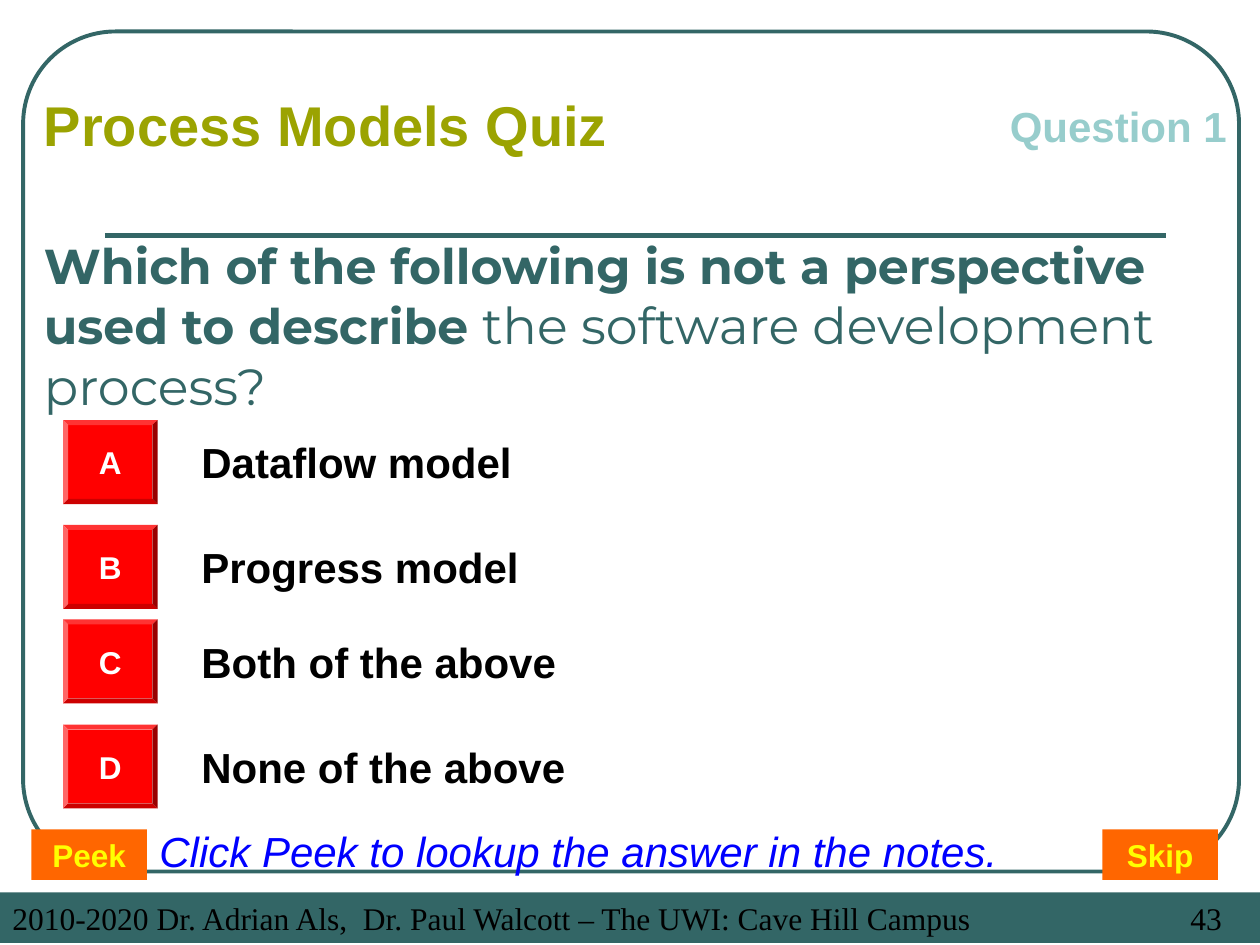
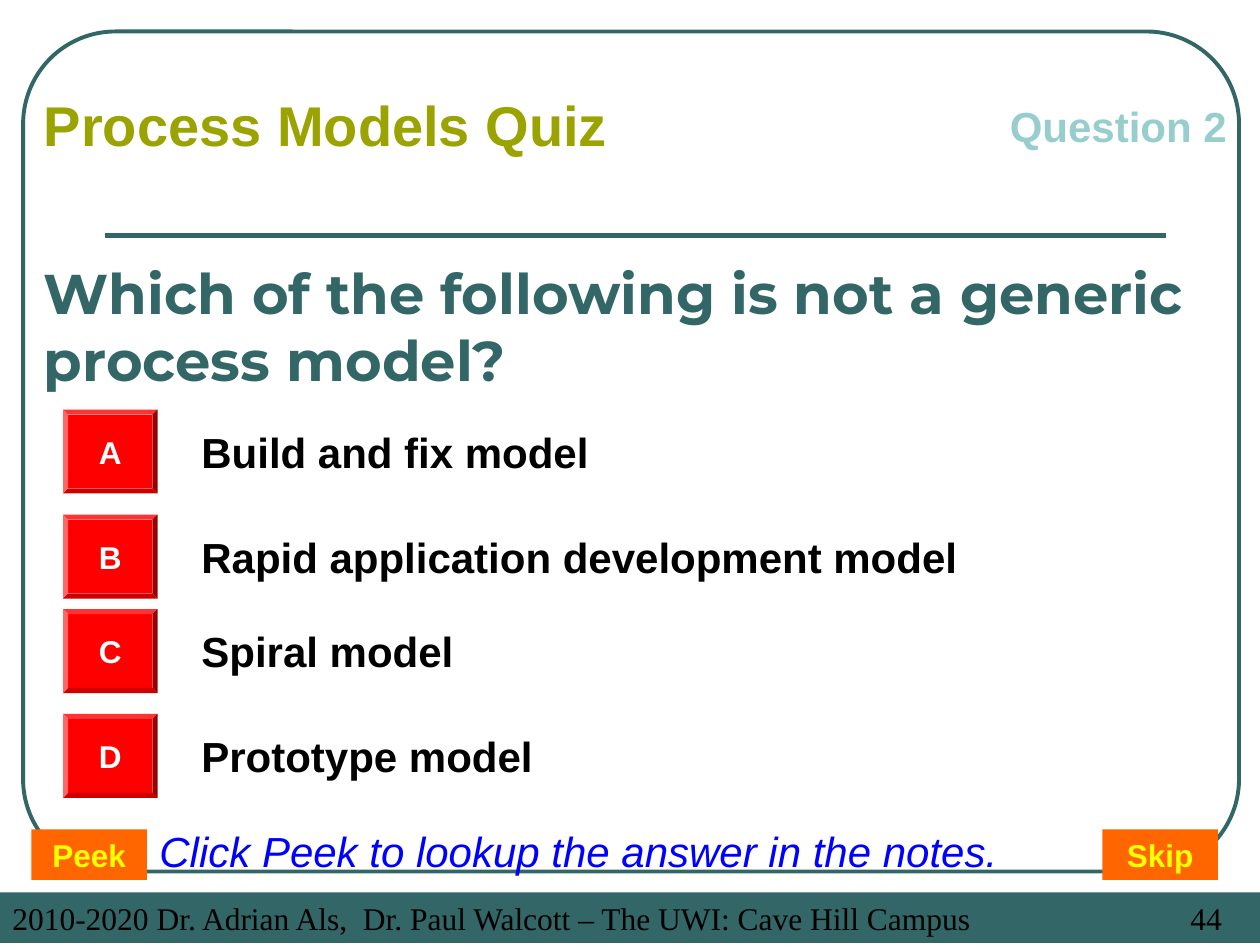
"""Build two quiz slides on process models."""
import pptx
import pptx.dml.color
import pptx.enum.shapes
import pptx.enum.text
import pptx.util
from dataclasses import dataclass
from lxml import etree

QUIZ = [
    dict(page=43, top=400,
         ask=[("Which of the following is not a perspective used to describe ", 28, True),
              ("the software development process?", 29, False)],
         picks=["Dataflow model", "Progress model", "Both of the above", "None of the above"]),
    dict(page=44, top=390,
         ask=[("Which of the following is not a generic process model?", 32, True)],
         picks=["Build and fix model", "Rapid application development model",
                "Spiral model", "Prototype model"]),
]
TITLE = "Process Models Quiz"
HINT = "Click Peek to lookup the answer in the notes."
CREDIT = "2010-2020 Dr. Adrian Als,  Dr. Paul Walcott – The UWI: Cave Hill Campus"
LINKS = [("Peek", 30), ("Skip", 1050)]

PX = 7620
WIDE, HIGH = 1200, 900
PAIR, STEP = 190, 100
TAB = 1152


@dataclass(frozen=True)
class Theme:
    """Colours, fonts and type sizes."""
    teal: str = "336666"
    olive: str = "9BA301"
    aqua: str = "97CDCC"
    red: str = "FF0000"
    flame: str = "FF6600"
    gold: str = "FFFF00"
    blue: str = "0000FF"
    black: str = "000000"
    white: str = "FFFFFF"
    sans: str = "Arial"
    serif: str = "Times New Roman"
    ask: str = "Montserrat"
    head: int = 32
    body: int = 24
    small: int = 18


T = Theme()
KIND = pptx.enum.shapes.MSO_SHAPE
ALIGN = pptx.enum.text.PP_ALIGN
MID = pptx.enum.text.MSO_ANCHOR.MIDDLE


def rgb(code):
    """Turn a hex code into a colour."""
    return pptx.dml.color.RGBColor.from_string(code)


def style(run, size, color, face=T.sans, bold=False, italic=False):
    """Format one run."""
    font = run.font
    font.size, font.name = pptx.util.Pt(size), face
    font.bold, font.italic = bold, italic
    font.color.rgb = rgb(color)


def write(shape, text, size, color, align=ALIGN.LEFT, **look):
    """Put one styled line of text in a shape."""
    para = shape.text_frame.paragraphs[0]
    para.text, para.alignment = text, align
    style(para.runs[0], size, color, **look)
    return para


def label(slide, box, text=None, size=T.body, color=T.black, **look):
    """Add a wrapping text box."""
    area = slide.shapes.add_textbox(*(n * PX for n in box))
    area.text_frame.word_wrap = True
    if text:
        write(area, text, size, color, **look)
    return area


def block(slide, kind, box, fill=None):
    """Add a flat preset shape without a line."""
    shape = slide.shapes.add_shape(kind, *(n * PX for n in box))
    shape.shadow.inherit = False
    shape.line.fill.background()
    if fill:
        shape.fill.solid()
        shape.fill.fore_color.rgb = rgb(fill)
    else:
        shape.fill.background()
    shape.text_frame.vertical_anchor = MID
    return shape


def pen(line, width):
    """Draw a line in the main colour."""
    line.color.rgb = rgb(T.teal)
    line.width = pptx.util.Pt(width)


def frame(slide, page):
    """Add the outline, the rule and the footer bar."""
    edge = block(slide, KIND.ROUNDED_RECTANGLE, (22, 30, 1158, 800))
    edge.adjustments[0] = 0.11
    pen(edge.line, 2.25)
    rule = slide.shapes.add_connector(
        pptx.enum.shapes.MSO_CONNECTOR.STRAIGHT, 100 * PX, 224 * PX, 1110 * PX, 224 * PX)
    pen(rule.line, 3)
    ns = pptx.oxml.ns.qn
    etree.SubElement(rule._element.spPr, ns("a:effectLst"))
    bar = block(slide, KIND.RECTANGLE, (0, 850, WIDE, 48), T.teal)
    para = bar.text_frame.paragraphs[0]
    tabs = etree.SubElement(para._p.get_or_add_pPr(), ns("a:tabLst"))
    etree.SubElement(tabs, ns("a:tab"), pos=str(TAB * PX), algn="r")
    write(bar, f"{CREDIT}\t{page}", T.small, T.black, face=T.serif)


def pose(slide, parts):
    """Add the question."""
    area = label(slide, (30, 220, 1140, 180))
    area.text_frame.vertical_anchor = MID
    para = area.text_frame.paragraphs[0]
    for text, size, bold in parts:
        run = para.add_run()
        run.text = text
        style(run, size, T.teal, T.ask, bold)


def choose(slide, top, picks):
    """Add the lettered answers in pairs of rows."""
    for i, (mark, pick) in enumerate(zip("ABCD", picks)):
        y = top + i // 2 * PAIR + i % 2 * STEP
        key = block(slide, KIND.BEVEL, (60, y, 90, 80), T.red)
        key.adjustments[0] = 0.06
        key.text_frame.word_wrap = False
        write(key, mark, T.small, T.white, ALIGN.CENTER, bold=True)
        label(slide, (180, y + 10, 950 if i % 2 else 990, 60), pick, bold=True)


def main():
    """Build and save the slides."""
    deck = pptx.Presentation()
    deck.slide_width, deck.slide_height = WIDE * PX, HIGH * PX
    for num, quiz in enumerate(QUIZ, 1):
        slide = deck.slides.add_slide(deck.slide_layouts[6])
        frame(slide, quiz["page"])
        pose(slide, quiz["ask"])
        label(slide, (30, 80, 780, 77), TITLE, T.head, T.olive, bold=True)
        label(slide, (950, 90, 250, 60), f"Question {num}", color=T.aqua, bold=True)
        choose(slide, quiz["top"], quiz["picks"])
        for text, x in LINKS:
            link = block(slide, KIND.RECTANGLE, (x, 790, 110, 48), T.flame)
            write(link, text, T.small, T.gold, ALIGN.CENTER, bold=True)
        label(slide, (140, 780, 860, 60), HINT, color=T.blue, italic=True)
    deck.save("out.pptx")


if __name__ == "__main__":
    main()
